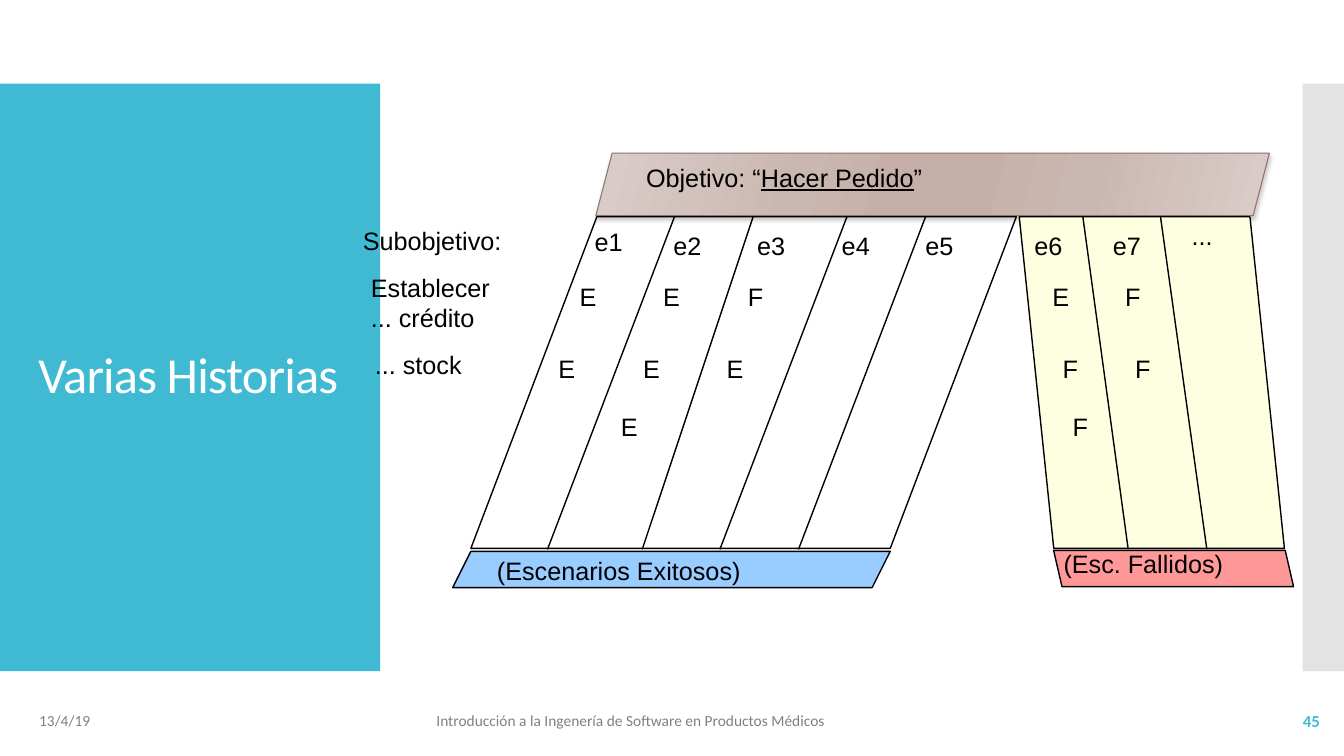
import lxml.etree
import pptx
import pptx.dml.color
import pptx.enum.shapes
import pptx.enum.text
import pptx.oxml.ns
import pptx.util

EMU_PER_PX = 9144
SHAPE = pptx.enum.shapes.MSO_SHAPE
ALIGN = pptx.enum.text.PP_ALIGN
ANCHOR = pptx.enum.text.MSO_ANCHOR
AUTO_SIZE = pptx.enum.text.MSO_AUTO_SIZE

BODY = {"name": "Arial", "size": pptx.util.Pt(18)}
FOOTER = {"name": "Calibri", "size": pptx.util.Pt(11)}
PAGE_NUMBER = {"name": "Calibri", "size": pptx.util.Pt(12), "bold": True}
TITLE = {"name": "Calibri", "size": pptx.util.Pt(36)}

PANEL_TOP, PANEL_BOTTOM = 215, 545
ROW_TOPS = (274, 346, 403)
BANNER_STOPS = ((0, "DACDCA"), (30, "CBB7B1"), (45, "C6AFA9"),
                (55, "C6AFA9"), (73, "CBB7B1"), (100, "DACDCA"))


def px(value):
    return pptx.util.Emu(round(value) * EMU_PER_PX)


def colour(code):
    return pptx.dml.color.RGBColor.from_string(code)


def add_element(parent, tag, **attributes):
    element = lxml.etree.SubElement(parent, pptx.oxml.ns.qn(tag))
    for name, value in attributes.items():
        element.set(name, str(value))
    return element


def apply_format(target, values):
    for name, value in values.items():
        setattr(target, name, value)


def add_span(para, text, values, code="000000"):
    span = para.add_run()
    span.text = text
    apply_format(span.font, values)
    span.font.color.rgb = colour(code)
    return span


def add_panel(page, at, kind, fill=None, line=None, adjust=None, flip=False):
    panel = page.shapes.add_shape(kind, *map(px, at))
    panel.shadow.inherit = False
    if fill:
        panel.fill.solid()
        panel.fill.fore_color.rgb = colour(fill)
    else:
        panel.fill.background()
    if line:
        panel.line.color.rgb = colour(line)
        panel.line.width = pptx.util.Pt(1)
    else:
        panel.line.fill.background()
    if adjust is not None:
        panel.adjustments[0] = adjust
    if flip:
        panel._element.spPr.find(pptx.oxml.ns.qn("a:xfrm")).set("flipH", "1")
    return panel


def add_slanted(page, at, adjust, fill=None, flip=False):
    return add_panel(page, at, SHAPE.PARALLELOGRAM, fill, "000000", adjust, flip)


def add_side_band(page):
    band = add_panel(page, (1292, 83, 42, 583), SHAPE.RECTANGLE, "C8C8C8")
    tint = band._element.spPr.find(".//" + pptx.oxml.ns.qn("a:srgbClr"))
    add_element(tint, "a:alpha", val=50000)


def add_banner(page):
    banner = add_panel(page, (591, 152, 668, 62), SHAPE.PARALLELOGRAM,
                       line="8E736A", adjust=0.26)
    banner.line.width = pptx.util.Pt(0.75)
    banner.fill.gradient()
    banner.fill.gradient_angle = 345
    properties = banner._element.spPr
    stops = properties.find(".//" + pptx.oxml.ns.qn("a:gsLst"))
    for stop in list(stops):
        stops.remove(stop)
    for position, code in BANNER_STOPS:
        stop = add_element(stops, "a:gs", pos=position * 1000)
        add_element(stop, "a:srgbClr", val=code)
    effects = properties.find(pptx.oxml.ns.qn("a:effectLst"))
    shadow = add_element(effects, "a:outerShdw", blurRad=pptx.util.Pt(3),
                         dist=pptx.util.Pt(2), dir=5400000, rotWithShape=0)
    tint = add_element(shadow, "a:srgbClr", val="808080")
    add_element(tint, "a:alpha", val=40000)


def add_divider(page, top_x, bottom_x):
    divider = page.shapes.add_connector(
        pptx.enum.shapes.MSO_CONNECTOR.STRAIGHT,
        px(top_x), px(PANEL_TOP), px(bottom_x), px(PANEL_BOTTOM))
    divider.line.color.rgb = colour("000000")
    divider.line.width = pptx.util.Pt(1)
    add_element(divider._element.spPr, "a:effectLst")


def add_label(page, at, lines, wrap=False):
    box = page.shapes.add_textbox(*map(px, at))
    frame = box.text_frame
    frame.word_wrap = wrap
    frame.auto_size = AUTO_SIZE.SHAPE_TO_FIT_TEXT
    for index, text in enumerate(lines):
        para = frame.add_paragraph() if index else frame.paragraphs[0]
        if text:
            add_span(para, text, BODY)
    return box


def add_footer(page, at, text, values, code, align=ALIGN.LEFT):
    box = page.shapes.add_textbox(*map(px, at))
    apply_format(box.text_frame, {"word_wrap": True,
                                  "vertical_anchor": ANCHOR.MIDDLE})
    para = box.text_frame.paragraphs[0]
    para.alignment = align
    add_span(para, text, values, code)


def write_title(page, text):
    title = page.shapes.title
    apply_format(title, dict(zip(("left", "top", "width", "height"),
                                 map(px, (28, 123, 322, 503)))))
    apply_format(title.text_frame, {"word_wrap": True,
                                    "auto_size": AUTO_SIZE.NONE,
                                    "vertical_anchor": ANCHOR.MIDDLE})
    para = title.text_frame.paragraphs[0]
    apply_format(para, {"alignment": ALIGN.LEFT, "line_spacing": 0.9})
    span = add_span(para, text, TITLE, "FFFFFF")
    span.font._element.set("spc", "-60")
    page.shapes._spTree.append(title._element)


def add_goal(page):
    box = add_label(page, (631, 156, 516, 40), [""], wrap=True)
    para = box.text_frame.paragraphs[0]
    add_span(para, "Objetivo: “", BODY)
    add_span(para, "Hacer Pedido", {**BODY, "underline": True})
    add_span(para, "”", BODY)


def add_outcomes(page, rows, left, column_step, row_step):
    for row, outcomes in enumerate(rows):
        for column, outcome in enumerate(outcomes):
            x = left + column * column_step + row * row_step
            width = 37 if outcome == "E" else 35
            if outcome != "-":
                add_label(page, (x, ROW_TOPS[row], width, 40), [outcome])


def add_scenario_names(page):
    add_label(page, (580, 220, 48, 40), ["e1"])
    for number in range(2, 6):
        add_label(page, (658 + (number - 2) * 83.4, 224, 48, 40), [f"e{number}"])
    for number in (6, 7):
        add_label(page, (1016 + (number - 6) * 78, 224, 48, 40), [f"e{number}"])
    add_label(page, (1172, 214, 41, 40), ["..."])


def main():
    deck = pptx.Presentation()
    deck.slide_width, deck.slide_height = px(1333), px(750)
    page = deck.slides.add_slide(deck.slide_layouts[5])

    add_panel(page, (0, 83, 377, 583), SHAPE.RECTANGLE, "40BAD2")
    add_side_band(page)
    add_footer(page, (29, 695, 300, 40), "13/4/19", FOOTER, "808080")
    add_footer(page, (423, 695, 646, 40),
               "Introducción a la Ingenería de Software en Productos Médicos",
               FOOTER, "808080")
    add_footer(page, (1152, 695, 167, 40), "45", PAGE_NUMBER, "40BAD2", ALIGN.RIGHT)
    write_title(page, "Varias Historias")

    add_banner(page)
    add_goal(page)
    add_slanted(page, (467, 215, 541, 329), 0.38)
    add_slanted(page, (1011, 215, 263, 329), 0.13, "FEFFE1", flip=True)
    for top_x, bottom_x in ((918, 792), (840, 714), (747, 637), (669, 543),
                            (1151, 1197), (1074, 1119)):
        add_divider(page, top_x, bottom_x)
    add_slanted(page, (449, 547, 434, 36), 0.5, "99CCFF")
    add_slanted(page, (1045, 546, 238, 36), 0.23, "FF9999", flip=True)

    add_scenario_names(page)
    add_outcomes(page, ("EEF", "EEE", "-E"), 565, 83.5, -21)
    add_outcomes(page, ("EF", "FF", "F"), 1034, 72.5, 10)
    add_label(page, (483, 546, 378, 40), ["(Escenarios Exitosos)"], wrap=True)
    add_label(page, (1045, 539, 180, 40), ["(Esc. Fallidos)"])
    add_label(page, (350, 219, 223, 40), ["Subobjetivo:"], wrap=True)
    add_label(page, (358, 265, 238, 70), ["Establecer", "... crédito"], wrap=True)
    add_label(page, (362, 342, 107, 40), ["... stock"])
    deck.save("out.pptx")


if __name__ == "__main__":
    main()
